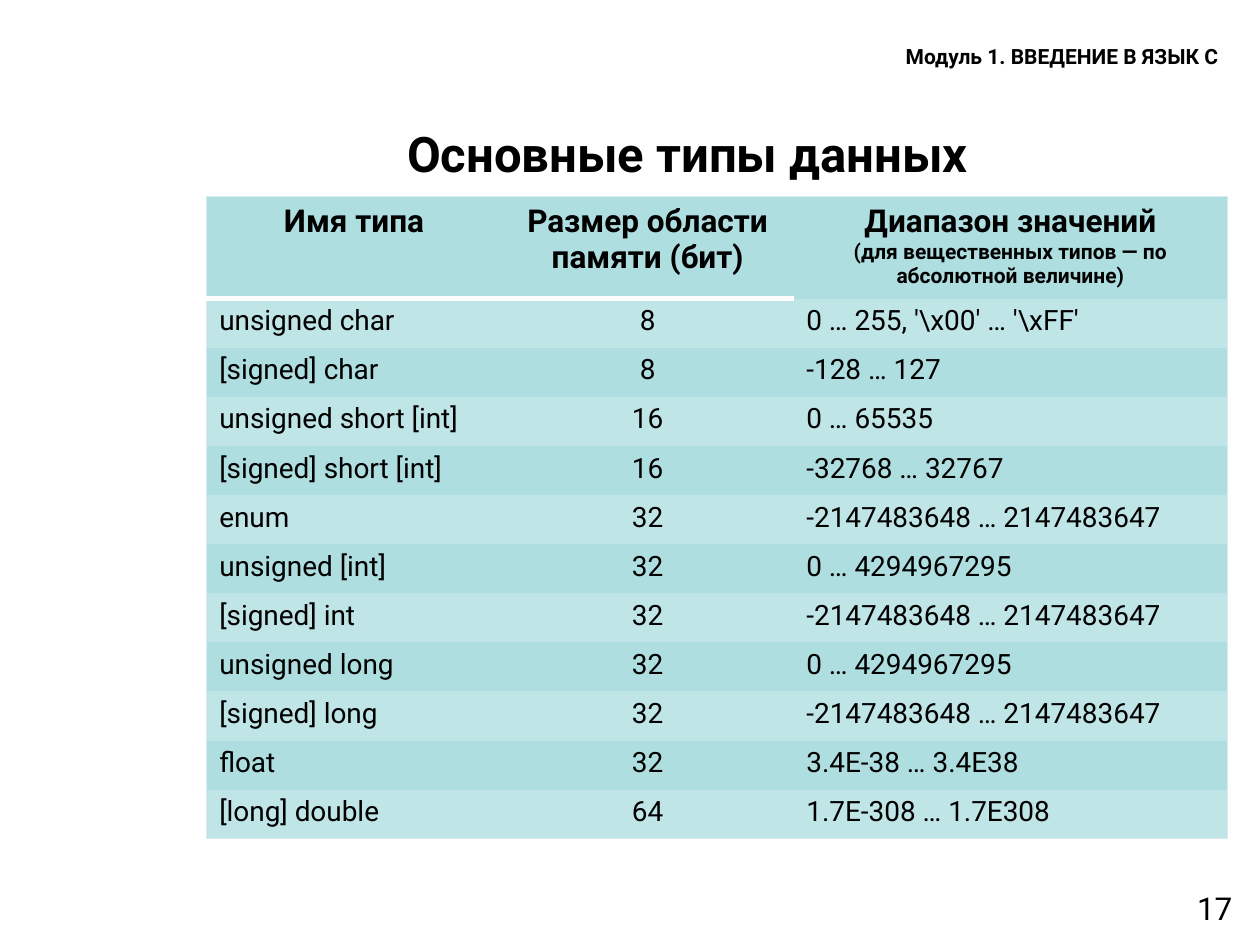
from lxml.etree import SubElement
from pptx import Presentation
from pptx.dml.color import RGBColor
from pptx.enum.text import MSO_ANCHOR, PP_ALIGN
from pptx.oxml.ns import qn
from pptx.util import Inches, Pt

COLORS = {"text": "000000", "dark": "AFDEE0", "light": "BFE5E6",
          "edge": "DBEBED", "rule": "FFFFFF"}
NO_GRID = "{2D5ABB26-0587-4C30-8999-92F81FD0307C}"


def add_text(tf, text, size=16, bold=False, align=PP_ALIGN.LEFT, new=False):
    p = tf.add_paragraph() if new else tf.paragraphs[0]
    p.alignment = align
    r = p.add_run()
    r.text = text
    r.font.name = "Roboto"
    r.font.size = Pt(size)
    r.font.bold = bold
    r.font.color.rgb = RGBColor.from_string(COLORS["text"])


def add_border(cell, side, color, width):
    tcPr = cell._tc.get_or_add_tcPr()
    ln = SubElement(tcPr, qn("a:" + side), w=str(Pt(width)))
    fill = SubElement(ln, qn("a:solidFill"))
    SubElement(fill, qn("a:srgbClr"), val=COLORS[color])


prs = Presentation()
prs.slide_width, prs.slide_height = Inches(10), Inches(7.5)
slide = prs.slides.add_slide(prs.slide_layouts[5])

title = slide.shapes.title
title.left, title.top = Inches(1.33), Inches(0.92)
title.width, title.height = Inches(8.25), Inches(0.58)
title.text_frame.vertical_anchor = MSO_ANCHOR.MIDDLE
add_text(title.text_frame, "Основные типы данных", size=28, bold=True, align=PP_ALIGN.CENTER)

labels = [
    ("17", (7.55, 7.01, 2.33, 0.52), 18, False, PP_ALIGN.RIGHT),
    ("Модуль 1. ВВЕДЕНИЕ В ЯЗЫК C", (7.09, 0.3, 2.94, 0.3), 12, True, PP_ALIGN.LEFT),
]
for text, box, size, bold, align in labels:
    tf = slide.shapes.add_textbox(*map(Inches, box)).text_frame
    tf.word_wrap = True
    add_text(tf, text, size=size, bold=bold, align=align)

INT_RANGE = "-2147483648 … 2147483647"
UINT_RANGE = "0 … 4294967295"
rows = [
    ("Имя типа", "Размер области памяти (бит)", "Диапазон значений"),
    ("unsigned char", "8", r"0 … 255, '\x00' … '\xFF'"),
    ("[signed] char", "8", "-128 … 127"),
    ("unsigned short [int]", "16", "0 … 65535"),
    ("[signed] short [int]", "16", "-32768 … 32767"),
    ("enum", "32", INT_RANGE),
    ("unsigned [int]", "32", UINT_RANGE),
    ("[signed] int", "32", INT_RANGE),
    ("unsigned long", "32", UINT_RANGE),
    ("[signed] long", "32", INT_RANGE),
    ("float", "32", "3.4E-38 … 3.4E38"),
    ("[long] double", "64", "1.7E-308 … 1.7E308"),
]
widths = [2.34, 2.32, 3.44]
last_row, last_col = len(rows) - 1, len(widths) - 1

frame = slide.shapes.add_table(len(rows), len(widths), Inches(1.64), Inches(1.56),
                               Inches(8.1), Inches(5.1))
table = frame.table
table.horz_banding = False
table._tbl.tblPr.find(qn("a:tableStyleId")).text = NO_GRID
for column, width in zip(table.columns, widths):
    column.width = Inches(width)

for i, values in enumerate(rows):
    header = i == 0
    table.rows[i].height = Inches(0.81 if header else 0.39)
    for j, value in enumerate(values):
        cell = table.cell(i, j)
        if j == 0:
            add_border(cell, "lnL", "edge", 0.75)
        if j == last_col:
            add_border(cell, "lnR", "edge", 0.75)
        if header:
            add_border(cell, "lnT", "edge", 0.75)
        if header and j < last_col:
            add_border(cell, "lnB", "rule", 3)
        if i == last_row:
            add_border(cell, "lnB", "edge", 0.75)
        cell.fill.solid()
        cell.fill.fore_color.rgb = RGBColor.from_string(COLORS["light" if i % 2 else "dark"])
        add_text(cell.text_frame, value, size=18 if header else 16, bold=header,
                 align=PP_ALIGN.CENTER if header or j == 1 else PP_ALIGN.LEFT)

add_text(table.cell(0, last_col).text_frame,
         "(для вещественных типов — по абсолютной величине)",
         size=12, bold=True, align=PP_ALIGN.CENTER, new=True)

prs.save("out.pptx")
